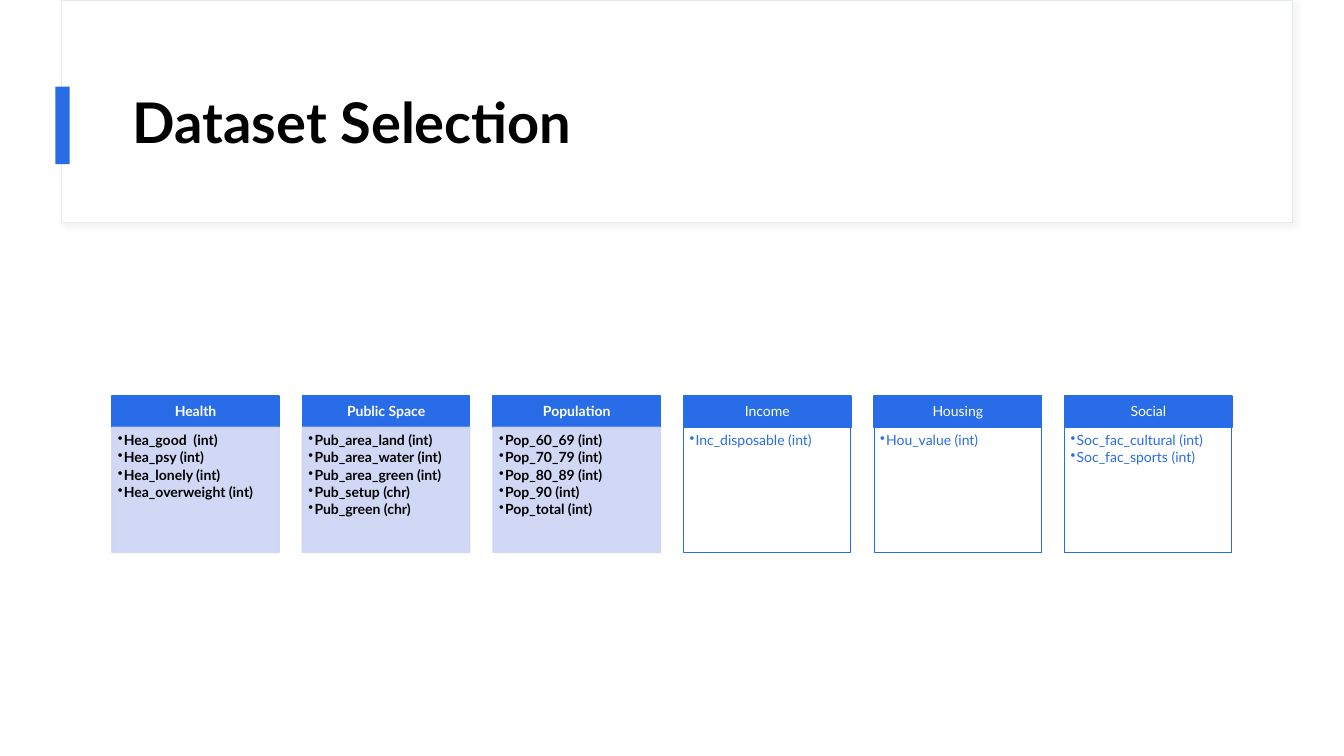
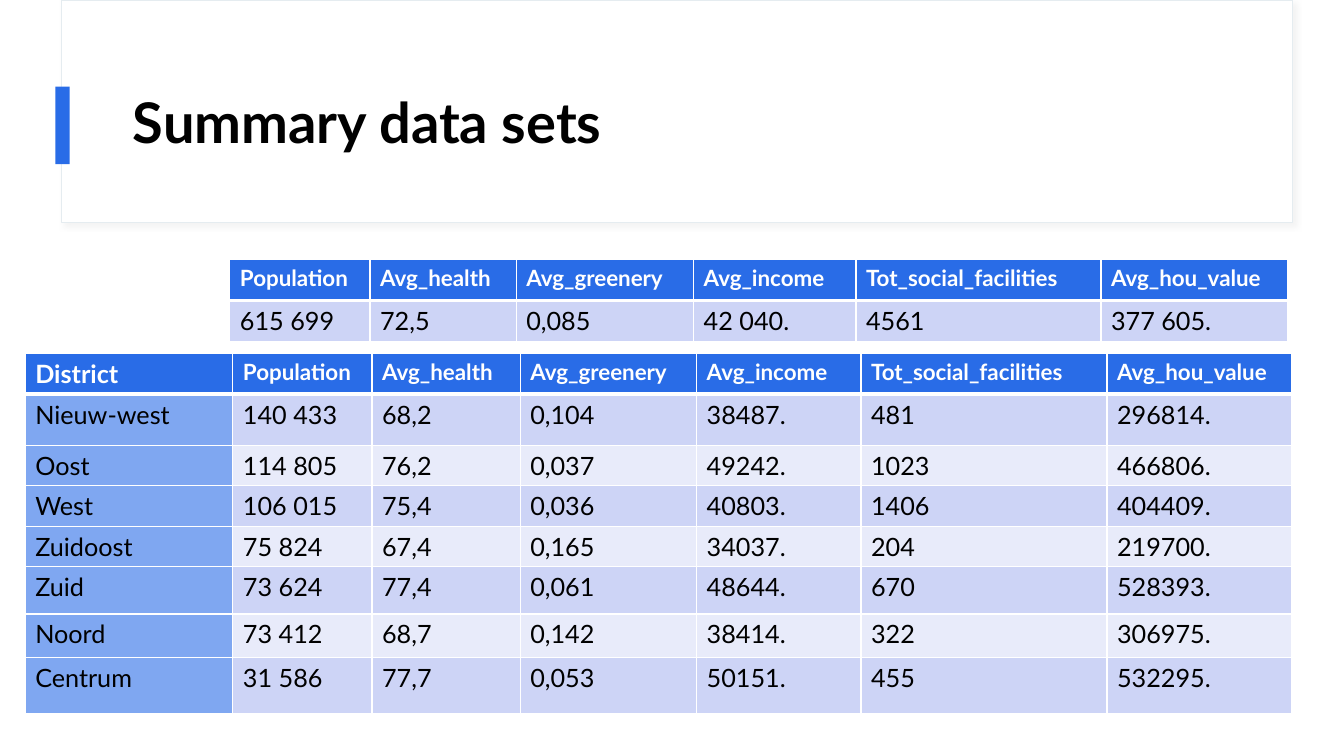
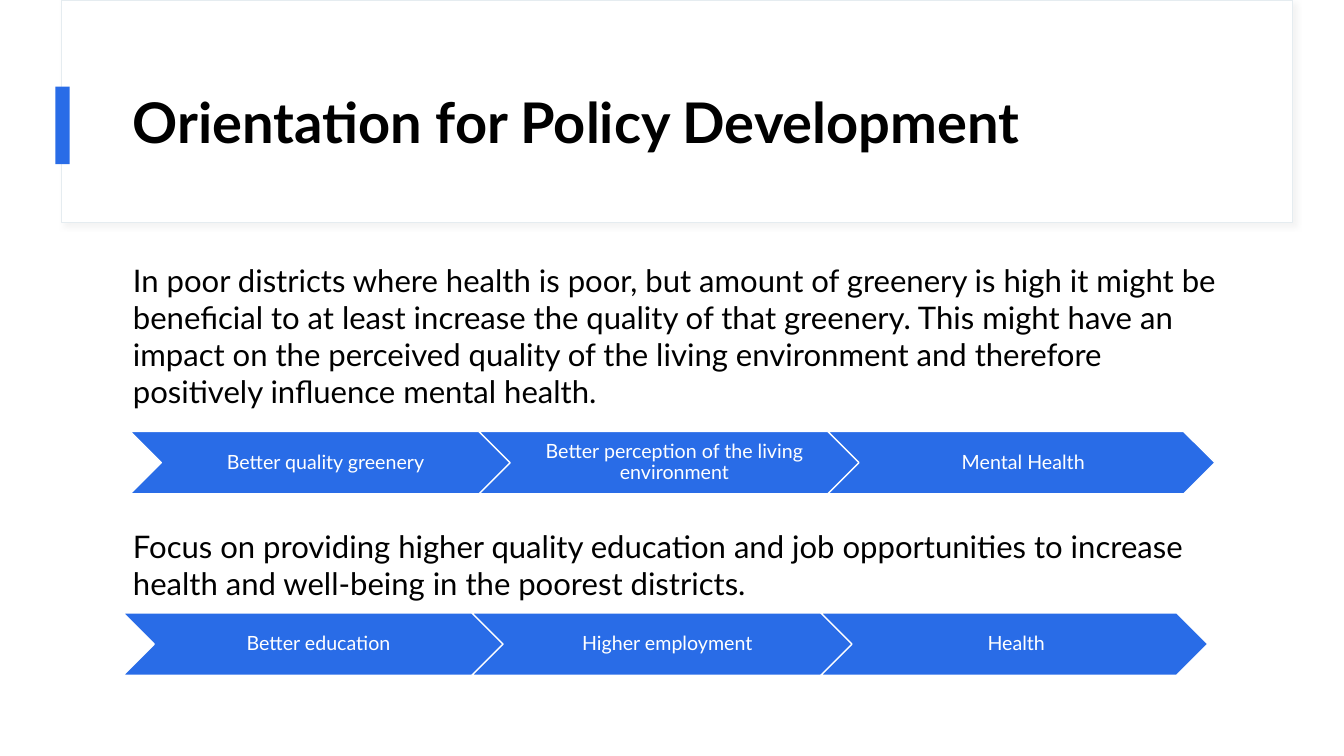
from lxml.etree import SubElement
from pptx import Presentation
from pptx.dml.color import RGBColor
from pptx.enum.shapes import MSO_SHAPE
from pptx.enum.text import MSO_ANCHOR, PP_ALIGN
from pptx.oxml.ns import qn
from pptx.util import Inches, Pt

FONT = "Lato"
BLUE, MID_BLUE, LILAC, PALE = "296CE7", "7FA7F1", "CDD4F6", "E8EBFA"
WHITE, BLACK, FRAME_LINE, SHADOW = "FFFFFF", "000000", "E5ECF0", "D9D9D9"

CARDS = [
    ("Health", ["Hea_good  (int)", "Hea_psy (int)", "Hea_lonely (int)", "Hea_overweight (int)"], True),
    ("Public Space", ["Pub_area_land (int)", "Pub_area_water (int)", "Pub_area_green (int)",
                      "Pub_setup (chr)", "Pub_green (chr)"], True),
    ("Population", ["Pop_60_69 (int)", "Pop_70_79 (int)", "Pop_80_89 (int)",
                    "Pop_90 (int)", "Pop_total (int)"], True),
    ("Income", ["Inc_disposable (int)"], False),
    ("Housing", ["Hou_value (int)"], False),
    ("Social", ["Soc_fac_cultural (int)", "Soc_fac_sports (int)"], False),
]
MEASURES = ["Population", "Avg_health", "Avg_greenery", "Avg_income",
            "Tot_social_facilities", "Avg_hou_value"]
CITY = ["615 699", "72,5", "0,085", "42 040.", "4561", "377 605."]
DISTRICTS = [
    ["Nieuw-west", "140 433", "68,2", "0,104", "38487.", "481", "296814."],
    ["Oost", "114 805", "76,2", "0,037", "49242.", "1023", "466806."],
    ["West", "106 015", "75,4", "0,036", "40803.", "1406", "404409."],
    ["Zuidoost", "75 824", "67,4", "0,165", "34037.", "204", "219700."],
    ["Zuid", "73 624", "77,4", "0,061", "48644.", "670", "528393."],
    ["Noord", "73 412", "68,7", "0,142", "38414.", "322", "306975."],
    ["Centrum", "31 586", "77,7", "0,053", "50151.", "455", "532295."],
]
POLICIES = [
    ("In poor districts where health is poor, but amount of greenery is high it might be "
     "beneficial to at least increase the quality of that greenery. This might have an impact "
     "on the perceived quality of the living environment and therefore positively influence "
     "mental health.", 2.54, 1.6,
     ["Better quality greenery", "Better perception of the living environment", "Mental Health"],
     1.29, 4.28),
    ("Focus on providing higher quality education and job opportunities to increase health and "
     "well-being in the poorest districts.", 5.18, 0.85,
     ["Better education", "Higher employment", "Health"], 1.22, 6.08),
]


def color(hex_code):
    """Turn a hex string into a colour."""
    return RGBColor.from_string(hex_code)


def add_box(slide, box, fill=None, line=None, width=1, kind=MSO_SHAPE.RECTANGLE):
    """Add a preset shape with an optional fill and line, and no shadow."""
    shape = slide.shapes.add_shape(kind, *map(Inches, box))
    shape.shadow.inherit = False
    if fill:
        shape.fill.solid()
        shape.fill.fore_color.rgb = color(fill)
    else:
        shape.fill.background()
    if line:
        shape.line.color.rgb = color(line)
        shape.line.width = Pt(width)
    else:
        shape.line.fill.background()
    return shape


def add_text_box(slide, box):
    """Add an empty text box."""
    return slide.shapes.add_textbox(*map(Inches, box))


def write(shape, lines, size, ink, bold=False, align=PP_ALIGN.LEFT, anchor=MSO_ANCHOR.TOP,
          insets=(0.1, 0.05, 0.1, 0.05), spacing=None, after=0):
    """Write lines as paragraphs of one style into a shape."""
    frame = shape.text_frame
    frame.word_wrap = True
    frame.vertical_anchor = anchor
    frame.margin_left, frame.margin_top, frame.margin_right, frame.margin_bottom = map(Inches, insets)
    frame.text = "\n".join(lines)
    for paragraph in frame.paragraphs:
        paragraph.alignment = align
        paragraph.line_spacing = spacing
        paragraph.space_after = Pt(after)
        style_runs(paragraph, size, ink, bold)


def style_runs(paragraph, size, ink, bold):
    """Set the font of every run in a paragraph."""
    for run in paragraph.runs:
        run.font.name = FONT
        run.font.size = Pt(size)
        run.font.bold = bold
        run.font.color.rgb = color(ink)


def add_bullets(shape, indent):
    """Give each paragraph of a shape a hanging bullet."""
    for paragraph in shape.text_frame.paragraphs:
        properties = paragraph._p.get_or_add_pPr()
        properties.set("marL", str(Inches(indent)))
        properties.set("indent", str(-Inches(indent)))
        SubElement(properties, qn("a:buChar"), char="•")


def set_opacity(shape, percent):
    """Make the fill and line of a shape partly transparent."""
    for node in shape._element.spPr.iter(qn("a:srgbClr")):
        SubElement(node, qn("a:alpha"), val=str(percent * 1000))


def add_soft_shadow(shape):
    """Give a shape a faint shadow towards the lower right."""
    effects = shape._element.spPr.find(qn("a:effectLst"))
    shadow = SubElement(effects, qn("a:outerShdw"), blurRad=str(Pt(4)), dist=str(Pt(3)),
                        dir=str(45 * 60000), algn="tl", rotWithShape="0")
    tint = SubElement(shadow, qn("a:srgbClr"), val=SHADOW)
    SubElement(tint, qn("a:alpha"), val="30000")


def add_titled_slide(presentation, title):
    """Add a slide with the title frame, accent bar and title."""
    slide = presentation.slides.add_slide(presentation.slide_layouts[6])
    add_soft_shadow(add_box(slide, (0.61, 0, 12.21, 2.21), WHITE, FRAME_LINE, 0.75))
    add_box(slide, (0.55, 0.86, 0.14, 0.77), BLUE)
    write(add_text_box(slide, (1.22, 0.6, 11.12, 1.29)), [title], 40, BLACK, bold=True,
          anchor=MSO_ANCHOR.MIDDLE, spacing=0.9)
    return slide


def add_card(slide, box, heading, fields, chosen):
    """Add a heading bar with a list of fields below it."""
    left, top, width, height = box
    bar = 0.31
    header = add_box(slide, (left, top, width, bar), BLUE, BLUE)
    write(header, [heading], 10, WHITE, chosen, PP_ALIGN.CENTER, MSO_ANCHOR.MIDDLE,
          (0.08, 0.04, 0.08, 0.04), 0.9)
    area = (left, top + bar, width, height - bar)
    if chosen:
        body = add_box(slide, area, LILAC, LILAC)
        set_opacity(body, 90)
    else:
        body = add_box(slide, area, None, BLUE, 0.75)
    write(body, fields, 10, BLACK if chosen else BLUE, chosen,
          insets=(0.06, 0.06, 0.08, 0.09), spacing=0.9, after=1.5)
    add_bullets(body, 0.06)


def set_borders(cell, **widths):
    """Draw white borders of the given widths around a cell."""
    properties = cell._tc.get_or_add_tcPr()
    for side in ("L", "R", "T", "B"):
        line = SubElement(properties, qn(f"a:ln{side}"), w=str(Pt(widths.get(side, 1))))
        SubElement(SubElement(line, qn("a:solidFill")), qn("a:srgbClr"), val=WHITE)


def add_data_table(slide, left, top, rows, widths, heights, row_names=False):
    """Add a banded table with a header row and optionally a column of row names."""
    table = slide.shapes.add_table(len(rows), len(widths), Inches(left), Inches(top),
                                   Inches(sum(widths)), Inches(sum(heights))).table
    for column, width in zip(table.columns, widths):
        column.width = Inches(width)
    for row, height in zip(table.rows, heights):
        row.height = Inches(height)
    for row_index, values in enumerate(rows):
        is_header = row_index == 0
        for column_index, value in enumerate(values):
            is_name = row_names and column_index == 0
            cell = table.cell(row_index, column_index)
            set_borders(cell, T=3 if row_index == 1 else 1, B=3 if is_header else 1)
            band = LILAC if row_index % 2 else PALE
            cell.fill.solid()
            cell.fill.fore_color.rgb = color(BLUE if is_header else MID_BLUE if is_name else band)
            cell.text_frame.text = value
            style_runs(cell.text_frame.paragraphs[0], 16 if is_header and not is_name else 18,
                       WHITE if is_header else BLACK, is_header)


def add_chevron_chain(slide, left, top, steps):
    """Add a row of overlapping chevrons."""
    for index, step in enumerate(steps):
        shape = add_box(slide, (left + index * 3.46, top, 3.84, 0.62), BLUE, WHITE,
                        kind=MSO_SHAPE.CHEVRON)
        write(shape, [step], 14, WHITE, align=PP_ALIGN.CENTER, anchor=MSO_ANCHOR.MIDDLE,
              insets=(0.06, 0.02, 0.02, 0.02), spacing=0.9)


def build_selection(presentation):
    """Build the slide with the cards of chosen fields."""
    slide = add_titled_slide(presentation, "Dataset Selection")
    for index, card in enumerate(CARDS):
        add_card(slide, (1.11 + index * 1.89, 3.93, 1.66, 1.55), *card)


def build_summary(presentation):
    """Build the slide with the city table and the district table."""
    slide = add_titled_slide(presentation, "Summary data sets")
    add_data_table(slide, 2.28, 2.57, [MEASURES, CITY],
                   [1.39, 1.45, 1.76, 1.61, 2.43, 1.85], [0.41, 0.41])
    add_data_table(slide, 0.25, 3.51, [["District"] + MEASURES] + DISTRICTS,
                   [2.06, 1.38, 1.47, 1.75, 1.63, 2.44, 1.83],
                   [0.4, 0.51, 0.4, 0.4, 0.4, 0.47, 0.43, 0.56], row_names=True)


def build_policy(presentation):
    """Build the slide with two policies and their chains of effects."""
    slide = add_titled_slide(presentation, "Orientation for Policy Development")
    for text, text_top, text_height, steps, chain_left, chain_top in POLICIES:
        write(add_text_box(slide, (1.22, text_top, 11.12, text_height)), [text], 22.2, BLACK)
        add_chevron_chain(slide, chain_left, chain_top, steps)


def main():
    """Build and save the presentation."""
    presentation = Presentation()
    presentation.slide_width = Inches(13.33)
    presentation.slide_height = Inches(7.5)
    build_selection(presentation)
    build_summary(presentation)
    build_policy(presentation)
    presentation.save("out.pptx")


if __name__ == "__main__":
    main()
